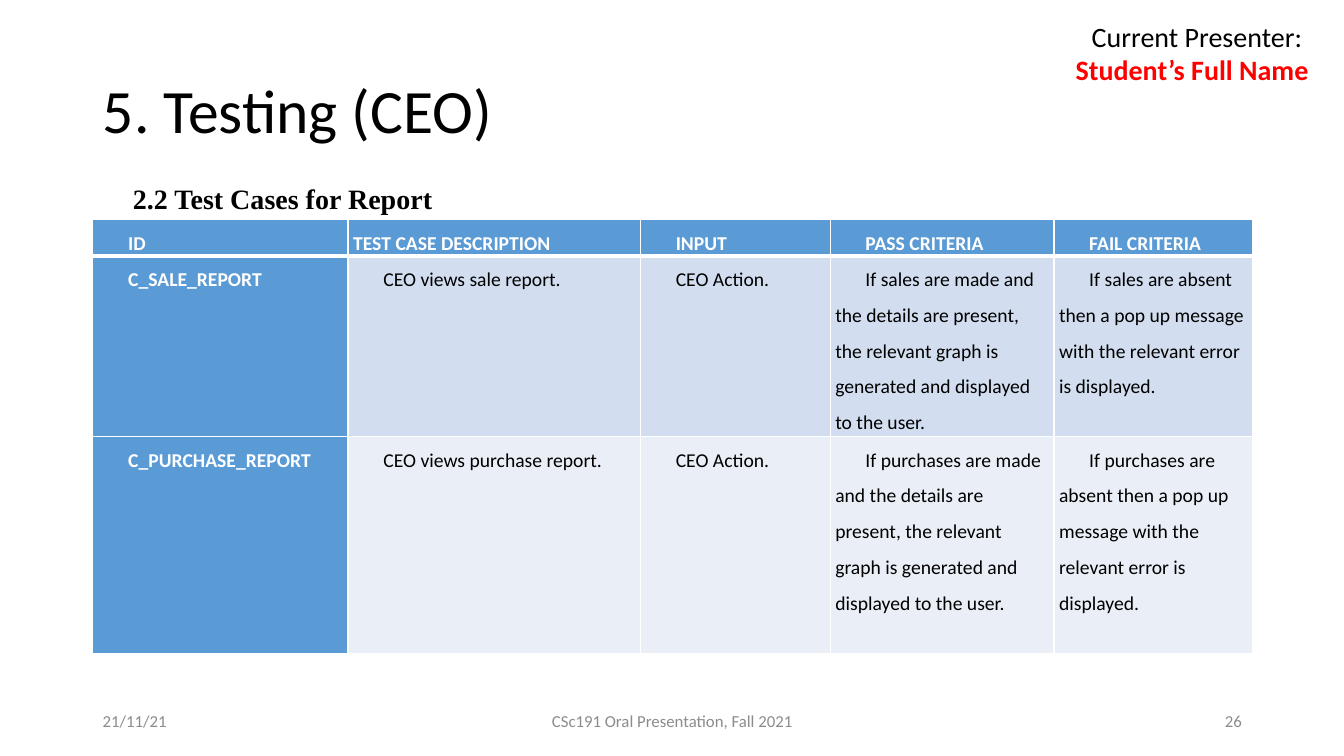
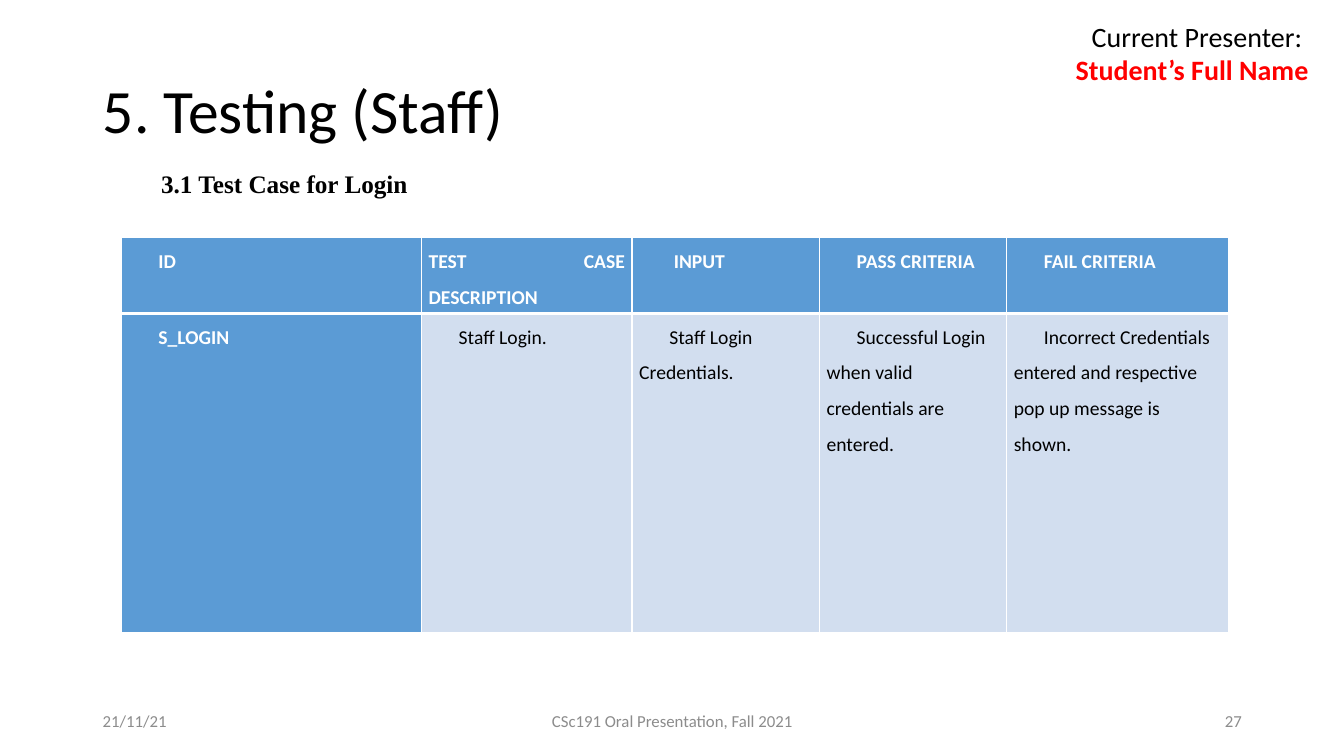
"""Build the two test case slides, each with a title, presenter, caption, table and footer."""
from dataclasses import dataclass

from lxml import etree
from pptx import Presentation
from pptx.dml.color import RGBColor
from pptx.enum.text import MSO_ANCHOR, MSO_AUTO_SIZE, PP_ALIGN
from pptx.oxml.ns import qn
from pptx.util import Cm, Pt

LEFT, CENTER, RIGHT, JUSTIFY = PP_ALIGN.LEFT, PP_ALIGN.CENTER, PP_ALIGN.RIGHT, PP_ALIGN.JUSTIFY
TOP, MIDDLE = MSO_ANCHOR.TOP, MSO_ANCHOR.MIDDLE
FIXED, GROW = MSO_AUTO_SIZE.NONE, MSO_AUTO_SIZE.SHAPE_TO_FIT_TEXT
TITLE_ONLY = 5


@dataclass(frozen=True)
class Theme:
    """Colours, fonts, type sizes and shared measures."""
    black: str = "000000"
    white: str = "FFFFFF"
    red: str = "FF0000"
    grey: str = "8C8C8C"
    blue: str = "5B9BD5"
    bands: tuple = ("D2DEEF", "EAEFF7")
    sans: str = "Calibri"
    serif: str = "Times New Roman"
    title: int = 44
    presenter: int = 20
    cell: int = 14
    footer: int = 12
    indent: float = 0.76
    rule: int = 1
    header_rule: int = 3


THEME = Theme()
SLIDE_SIZE = (33.87, 19.05)
TITLE_BOX = (2.34, 1.02, 29.21, 3.68)
PRESENTER_BOX = (26.09, 0.36, 7.14, 1.96)
PRESENTER = [("Current Presenter: ", THEME.black, False), ("Student’s Full Name", THEME.red, True)]
FOOTER_TOP, FOOTER_HEIGHT = 17.65, 1.02
FOOTERS = [
    ("21/11/21", 2.34, 7.62, LEFT),
    ("CSc191 Oral Presentation, Fall 2021", 11.23, 11.43, CENTER),
    ("{number}", 23.93, 7.62, RIGHT),
]

SLIDES = [
    {
        "number": 26,
        "title": "5. Testing (CEO)",
        "caption": ("2.2 Test Cases for Report", 20, (2.34, 4.45, 16.33, 1.12)),
        "origin": (2.34, 5.54),
        "columns": (6.43, 7.37, 4.78, 5.64, 5.0),
        "heights": (0.91, 4.55, 5.46),
        "inset": 0.13,
        "header_align": LEFT,
        "rows": [
            ("ID", "TEST CASE DESCRIPTION", "INPUT", "PASS CRITERIA", "FAIL CRITERIA"),
            ("C_SALE_REPORT", "CEO views sale report.", "CEO Action.",
             "If sales are made and the details are present, the relevant graph is "
             "generated and displayed to the user.",
             "If sales are absent then a pop up message with the relevant error is displayed."),
            ("C_PURCHASE_REPORT", "CEO views purchase report.", "CEO Action.",
             "If purchases are made and the details are present, the relevant graph is "
             "generated and displayed to the user.",
             "If purchases are absent then a pop up message with the relevant error is displayed."),
        ],
    },
    {
        "number": 27,
        "title": "5. Testing (Staff)",
        "caption": ("3.1 Test Case for Login", 18, (3.05, 4.11, 14.53, 1.02)),
        "origin": (3.05, 5.99),
        "columns": (7.57, 5.31, 4.72, 4.72, 5.59),
        "heights": (1.91, 8.03),
        "inset": 0.18,
        "header_align": JUSTIFY,
        "rows": [
            ("ID", "TEST CASE DESCRIPTION", " INPUT", "PASS CRITERIA", "FAIL CRITERIA"),
            ("S_LOGIN", "Staff Login.", "Staff Login Credentials.",
             "Successful Login when valid credentials are entered.",
             "Incorrect Credentials entered and respective pop up message is shown."),
        ],
    },
]


def apply(target, formats):
    for attribute, value in formats.items():
        setattr(target, attribute, value)


def place(shape, box):
    apply(shape, dict(zip(("left", "top", "width", "height"), map(Cm, box))))


def write(paragraph, text, size, color, font=THEME.sans, bold=False,
          align=LEFT, spacing=1.0, indent=0):
    apply(paragraph, {"alignment": align, "line_spacing": spacing})
    if indent:
        properties = paragraph._p.get_or_add_pPr()
        properties.set("marL", "0")
        properties.set("indent", str(int(Cm(indent))))
    run = paragraph.add_run()
    run.text = text
    apply(run.font, {"name": font, "size": Pt(size), "bold": bold})
    run.font.color.rgb = RGBColor.from_string(color)


def add_text(slide, box, lines, anchor=TOP, fit=FIXED):
    frame = slide.shapes.add_textbox(*map(Cm, box)).text_frame
    apply(frame, {"word_wrap": True, "vertical_anchor": anchor, "auto_size": fit})
    for index, line in enumerate(lines):
        write(frame.add_paragraph() if index else frame.paragraphs[0], **line)


def add_borders(cell, widths):
    properties = cell._tc.get_or_add_tcPr()
    for index, (side, width) in enumerate(widths.items()):
        line = etree.Element(qn(f"a:ln{side}"), w=str(int(Pt(width))))
        fill = etree.SubElement(line, qn("a:solidFill"))
        etree.SubElement(fill, qn("a:srgbClr"), val=THEME.white)
        properties.insert(index, line)


def add_test_table(slide, content):
    rows, columns, heights = content["rows"], content["columns"], content["heights"]
    table = slide.shapes.add_table(
        len(rows), len(columns), *map(Cm, content["origin"]),
        Cm(sum(columns)), Cm(sum(heights))).table
    apply(table, {"first_row": False, "horz_banding": False})
    for column, width in zip(table.columns, columns):
        column.width = Cm(width)
    for r, (row, height) in enumerate(zip(rows, heights)):
        table.rows[r].height = Cm(height)
        for c, text in enumerate(row):
            cell = table.cell(r, c)
            strong = r == 0 or c == 0
            apply(cell, {"margin_left": Cm(content["inset"]), "margin_right": Cm(content["inset"]),
                         "margin_top": 0, "margin_bottom": 0})
            cell.fill.solid()
            fill = THEME.blue if strong else THEME.bands[(r - 1) % 2]
            cell.fill.fore_color.rgb = RGBColor.from_string(fill)
            write(cell.text_frame.paragraphs[0], text, THEME.cell,
                  THEME.white if strong else THEME.black, bold=strong,
                  align=content["header_align"] if r == 0 else LEFT, spacing=1.5,
                  indent=0 if (r, c) == (0, 1) else THEME.indent)
            add_borders(cell, {"L": THEME.rule, "R": THEME.rule,
                               "T": THEME.header_rule if r == 1 else THEME.rule,
                               "B": THEME.header_rule if r == 0 else THEME.rule})


def add_frame(slide, content):
    title = slide.shapes.title
    place(title, TITLE_BOX)
    apply(title.text_frame, {"vertical_anchor": MIDDLE, "auto_size": FIXED, "word_wrap": True})
    write(title.text_frame.paragraphs[0], content["title"], THEME.title, THEME.black, spacing=0.9)
    add_text(slide, PRESENTER_BOX, [
        {"text": text, "size": THEME.presenter, "color": color, "bold": bold, "align": RIGHT}
        for text, color, bold in PRESENTER], fit=GROW)
    for text, left, width, align in FOOTERS:
        add_text(slide, (left, FOOTER_TOP, width, FOOTER_HEIGHT), [
            {"text": text.format(number=content["number"]), "size": THEME.footer,
             "color": THEME.grey, "align": align}], anchor=MIDDLE)


def main():
    deck = Presentation()
    apply(deck, dict(zip(("slide_width", "slide_height"), map(Cm, SLIDE_SIZE))))
    for content in SLIDES:
        slide = deck.slides.add_slide(deck.slide_layouts[TITLE_ONLY])
        add_frame(slide, content)
        add_test_table(slide, content)
        caption, size, box = content["caption"]
        add_text(slide, box, [
            {"text": caption, "size": size, "color": THEME.black, "font": THEME.serif,
             "bold": True, "align": JUSTIFY, "indent": THEME.indent}], fit=GROW)
    deck.save("out.pptx")


if __name__ == "__main__":
    main()
